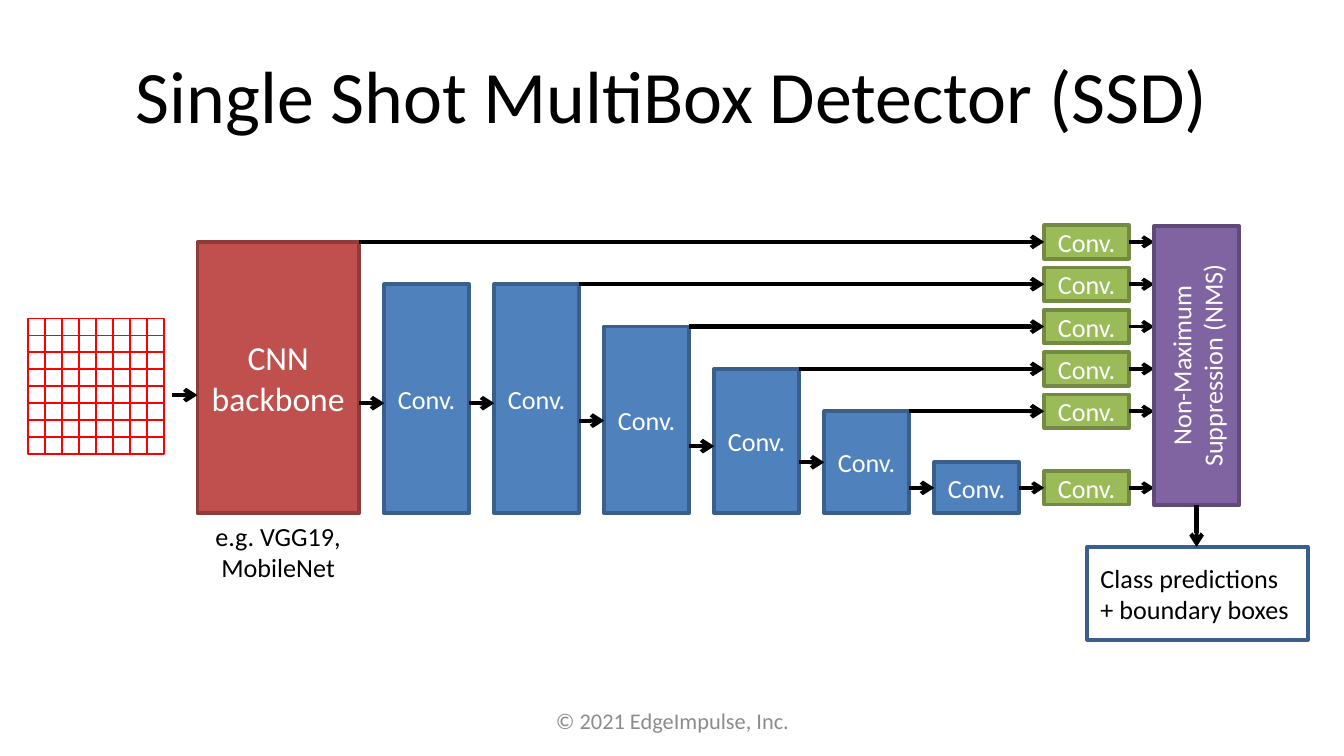
"""Build the Single Shot MultiBox Detector architecture slide."""
from dataclasses import dataclass
from typing import Optional

from lxml import etree
from pptx import Presentation
from pptx.dml.color import RGBColor
from pptx.enum.shapes import MSO_CONNECTOR, MSO_SHAPE
from pptx.enum.text import MSO_ANCHOR, MSO_AUTO_SIZE, PP_ALIGN
from pptx.oxml.ns import qn
from pptx.util import Inches, Pt

RECTANGLE = MSO_SHAPE.RECTANGLE
STRAIGHT = MSO_CONNECTOR.STRAIGHT
LEFT, CENTER = PP_ALIGN.LEFT, PP_ALIGN.CENTER
TOP, MIDDLE = MSO_ANCHOR.TOP, MSO_ANCHOR.MIDDLE
FIXED = MSO_AUTO_SIZE.NONE

FONT = "Calibri"
BLACK, WHITE, GRAY, RED = "000000", "FFFFFF", "8C8C8C", "FF0000"
BLUE_LINE = "3A5F8C"

SLIDE_WIDTH = 10
SLIDE_HEIGHT = SLIDE_WIDTH * 9 / 16
BOX_WIDTH = 0.63
COLUMN_START, HEAD_LEFT = 2.86, 7.77
COLUMN_PITCH = (HEAD_LEFT - COLUMN_START) / 6
NMS_LEFT = HEAD_LEFT + COLUMN_PITCH
NMS_TOP, NMS_BOTTOM = 1.68, 3.76
BACKBONE_LEFT, BACKBONE_WIDTH = 1.47, 1.2
BACKBONE_RIGHT = BACKBONE_LEFT + BACKBONE_WIDTH
FIRST_LEVEL, FIFTH_LEVEL, BASELINE = 1.8, 3.06, 3.82
LEVEL_PITCH = (FIFTH_LEVEL - FIRST_LEVEL) / 4
LAST_LEVEL, HEAD_HEIGHT = 3.63, 0.25
GRID_LEFT, GRID_TOP, GRID_COUNT, GRID_SIZE = 0.21, 2.37, 8, 1.01


@dataclass
class Box:
    left: float
    top: float
    width: float
    height: float
    line: str
    fill: Optional[str] = None
    text: str = ""
    size: float = 14
    color: str = WHITE
    align: PP_ALIGN = CENTER
    margin: float = 0.05
    line_width: float = 2
    rotation: float = 0


@dataclass
class Layer:
    top: float
    input_y: float


def rgb(value: str) -> RGBColor:
    return RGBColor.from_string(value)


def write(shape, text: str, size: float, color: str, align=CENTER,
          anchor=MIDDLE, margin: float = 0.1) -> None:
    frame = shape.text_frame
    settings = {
        "word_wrap": True, "auto_size": FIXED, "vertical_anchor": anchor,
        "margin_left": Inches(margin), "margin_right": Inches(margin),
    }
    if anchor == MIDDLE:
        settings.update(margin_top=0, margin_bottom=0)
    for name, value in settings.items():
        setattr(frame, name, value)
    paragraph = frame.paragraphs[0]
    paragraph.alignment = align
    run = paragraph.add_run()
    run.text = text
    for name, value in {"name": FONT, "size": Pt(size)}.items():
        setattr(run.font, name, value)
    run.font.color.rgb = rgb(color)


def add_box(slide, box: Box) -> None:
    shape = slide.shapes.add_shape(
        RECTANGLE, Inches(box.left), Inches(box.top),
        Inches(box.width), Inches(box.height))
    shape.shadow.inherit = False
    shape.rotation = box.rotation
    if box.fill:
        shape.fill.solid()
        shape.fill.fore_color.rgb = rgb(box.fill)
    else:
        shape.fill.background()
    shape.line.color.rgb = rgb(box.line)
    shape.line.width = Pt(box.line_width)
    if box.text:
        write(shape, box.text, box.size, box.color, box.align, MIDDLE, box.margin)


def add_label(slide, left: float, top: float, width: float, height: float,
              text: str, size: float, color: str, anchor) -> None:
    label = slide.shapes.add_textbox(
        Inches(left), Inches(top), Inches(width), Inches(height))
    write(label, text, size, color, anchor=anchor)


def add_arrow(slide, x1: float, y1: float, x2: float, y2: float,
              width: float = 2.25) -> None:
    arrow = slide.shapes.add_connector(
        STRAIGHT, Inches(x1), Inches(y1), Inches(x2), Inches(y2))
    arrow.line.color.rgb = rgb(BLACK)
    arrow.line.width = Pt(width)
    properties = arrow._element.spPr
    etree.SubElement(properties.find(qn("a:ln")), qn("a:tailEnd"), type="arrow")
    etree.SubElement(properties, qn("a:effectLst"))


def add_input_grid(slide) -> None:
    cell = GRID_SIZE / GRID_COUNT
    for row in range(GRID_COUNT):
        for column in range(GRID_COUNT):
            add_box(slide, Box(GRID_LEFT + column * cell, GRID_TOP + row * cell,
                               cell, cell, RED, line_width=1))


def add_backbone(slide) -> None:
    add_box(slide, Box(BACKBONE_LEFT, FIRST_LEVEL, BACKBONE_WIDTH,
                       BASELINE - FIRST_LEVEL, "8E3B39", "C0504D",
                       "CNN backbone", 18))
    add_label(slide, BACKBONE_LEFT, BASELINE, BACKBONE_WIDTH, 0.57,
              "e.g. VGG19, MobileNet", 14, BLACK, TOP)
    add_arrow(slide, 1.28, 2.94, BACKBONE_LEFT, 2.94)


def add_layers(slide, layers: list[Layer]) -> None:
    previous_right = BACKBONE_RIGHT
    for index, layer in enumerate(layers):
        left = COLUMN_START + index * COLUMN_PITCH
        add_box(slide, Box(left, layer.top, BOX_WIDTH, BASELINE - layer.top,
                           BLUE_LINE, "4F81BD", "Conv."))
        add_arrow(slide, previous_right, layer.input_y, left, layer.input_y)
        previous_right = left + BOX_WIDTH


def add_heads(slide, levels: list[float]) -> None:
    sources = [BACKBONE_RIGHT] + [
        COLUMN_START + index * COLUMN_PITCH + BOX_WIDTH for index in range(1, 6)]
    for source, level in zip(sources, levels):
        add_box(slide, Box(HEAD_LEFT, level - HEAD_HEIGHT / 2, BOX_WIDTH,
                           HEAD_HEIGHT, "738A42", "9BBB59", "Conv."))
        add_arrow(slide, source, level, HEAD_LEFT, level,
                  2 if level == LAST_LEVEL else 2.25)
        add_arrow(slide, HEAD_LEFT + BOX_WIDTH, level, NMS_LEFT, level, 2)


def add_output(slide) -> None:
    length = NMS_BOTTOM - NMS_TOP
    center_x = NMS_LEFT + BOX_WIDTH / 2
    center_y = (NMS_TOP + NMS_BOTTOM) / 2
    add_box(slide, Box(center_x - length / 2, center_y - BOX_WIDTH / 2,
                       length, BOX_WIDTH, "5F4A78", "8064A2",
                       "Non-Maximum Suppression (NMS)", rotation=270))
    add_box(slide, Box(8.09, 4.07, 1.64, 0.69, BLUE_LINE,
                       text="Class predictions + boundary boxes",
                       color=BLACK, align=LEFT, margin=0.1))
    add_arrow(slide, center_x, NMS_BOTTOM, center_x, 4.07)


def main() -> None:
    presentation = Presentation()
    presentation.slide_width = Inches(SLIDE_WIDTH)
    presentation.slide_height = Inches(SLIDE_HEIGHT)
    slide = presentation.slides.add_slide(presentation.slide_layouts[5])
    title = slide.shapes.title
    for name, value in {"left": 0.5, "top": 0.23, "width": 9, "height": 0.94}.items():
        setattr(title, name, Inches(value))
    write(title, "Single Shot MultiBox Detector (SSD)", 39.6, BLACK)

    levels = [FIRST_LEVEL + index * LEVEL_PITCH for index in range(5)]
    tops = [levels[1], *levels[1:], 3.44]
    inputs = [3, 3, 3.13, 3.32, 3.44, LAST_LEVEL]
    add_backbone(slide)
    add_layers(slide, [Layer(top, y) for top, y in zip(tops, inputs)])
    add_heads(slide, [*levels, LAST_LEVEL])
    add_output(slide)
    add_input_grid(slide)
    add_label(slide, 3.42, 5.21, 3.17, 0.3, "© 2021 EdgeImpulse, Inc.", 12, GRAY, MIDDLE)
    presentation.save("out.pptx")


if __name__ == "__main__":
    main()
